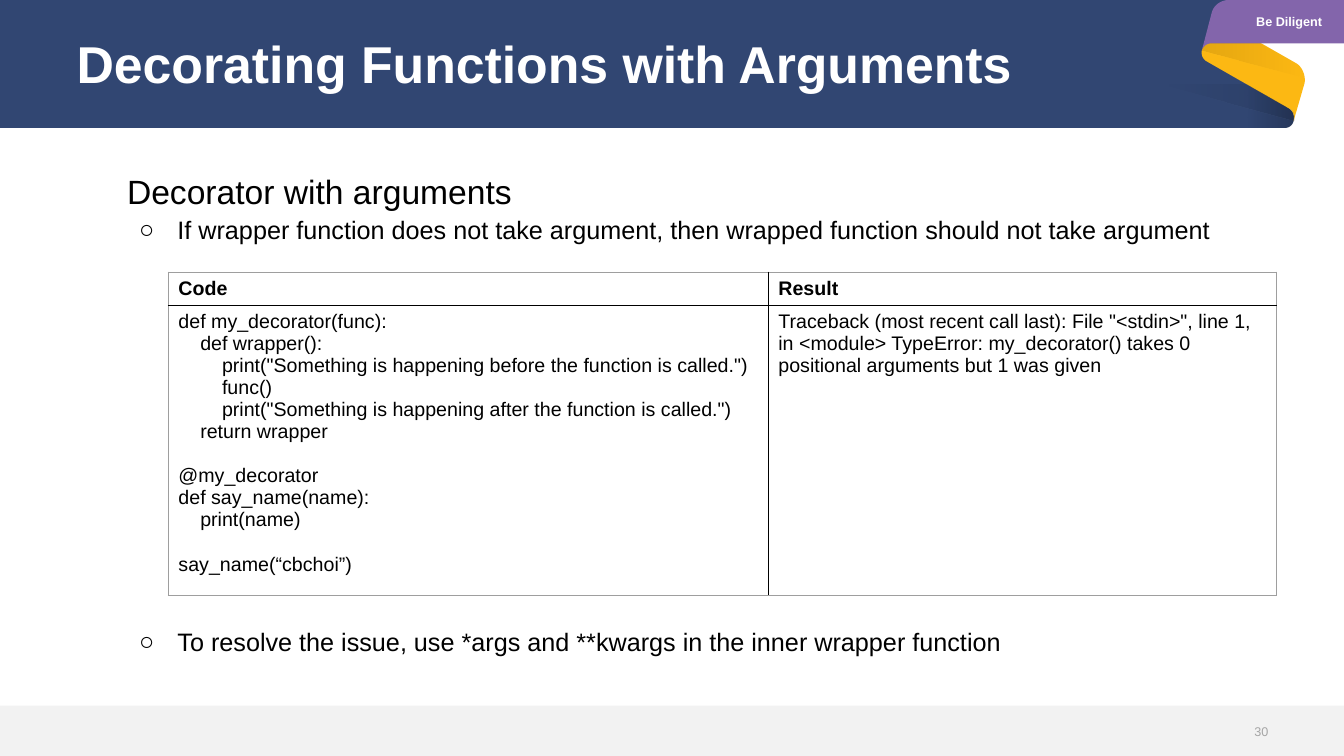
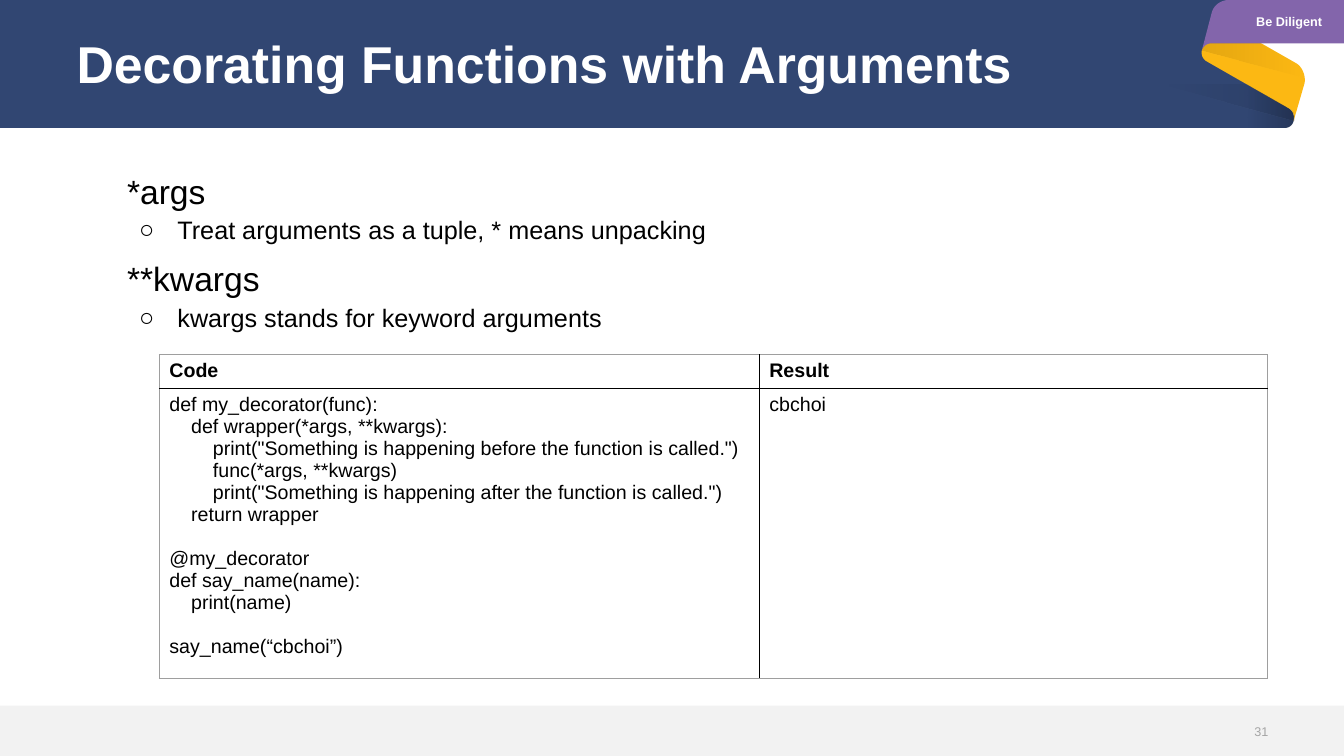
from collections import namedtuple
from dataclasses import dataclass

from lxml.etree import SubElement
from pptx import Presentation
from pptx.dml.color import RGBColor
from pptx.enum.shapes import MSO_SHAPE
from pptx.enum.text import MSO_ANCHOR, PP_ALIGN
from pptx.oxml.ns import qn
from pptx.util import Inches, Pt

Box = namedtuple("Box", "left top width height")


@dataclass(frozen=True)
class Theme:
    """Colours, font and type sizes shared by all slides."""
    font: str = "Arial"
    navy: str = "314672"
    yellow: str = "FCB813"
    purple: str = "8365AB"
    footer: str = "F2F2F2"
    white: str = "FFFFFF"
    black: str = "000000"
    muted: str = "A5A5A5"
    table_edge: str = "9E9E9E"
    title_size: float = 37
    heading_size: float = 24
    bullet_size: float = 18
    code_size: float = 14
    small_size: float = 9


THEME = Theme()

HEADER = Box(0, 0, 13.33, 1.27)
TAG = Box(11.99, 0, 1.34, 0.43)
TITLE = Box(0.76, 0.06, 11.81, 1.2)
BODY = Box(0.76, 1.56, 11.81, 5.19)
FOOTER = Box(0, 7, 13.33, 0.5)

COLUMN_WIDTHS = (5.95, 5.04)
ROW_HEIGHTS = (0.32, 2.72)
CODE_INDENT = 0.054  # inches for one leading space
CODE_LINE = 15.8  # points for one empty line

HEADING = {"alignment": PP_ALIGN.JUSTIFY, "line_spacing": 1.33}
BULLET = {"line_spacing": 0.9, "space_before": Pt(5)}

# Two numbers are a corner; six are a curve: two handles and its end.
BAND = [(0, 0), (12.43, 0), (12.43, 0.72), (12.79, 1.08),
        (12.83, 1.11, 12.84, 1.15, 12.83, 1.2),
        (12.82, 1.24, 12.79, 1.27, 12.74, 1.27), (0, 1.27)]
RIBBON = [(11.97, 0.61), (12.79, 1.08), (12.83, 1.11, 12.84, 1.15, 12.83, 1.2),
          (12.94, 0.82), (12.95, 0.74, 12.91, 0.66, 12.86, 0.63),
          (12.44, 0.39), (12.02, 0.41),
          (11.97, 0.41, 11.93, 0.46, 11.92, 0.5),
          (11.91, 0.54, 11.93, 0.59, 11.97, 0.61)]
TAG_OUTLINE = [(11.92, 0.5), (11.93, 0.46, 11.97, 0.43, 12.02, 0.43),
               (13.33, 0.43), (13.33, 0), (12.19, 0),
               (12.11, 0, 12.04, 0.05, 12.02, 0.12)]
FOLD_SHADE = [(12.37, 0.84), (12.37, 1.27), (12.74, 1.27),
              (12.79, 1.27, 12.82, 1.24, 12.83, 1.2),
              (12.84, 1.15, 12.83, 1.11, 12.79, 1.08)]
CAST_SHADE = [(11.52, 0.84), (12.83, 1.2),
              (12.84, 1.15, 12.83, 1.11, 12.79, 1.08), (12.37, 0.84)]
RIBBON_SHADE = [(11.92, 0.5), (12.94, 0.77),
                (12.94, 0.72, 12.91, 0.66, 12.86, 0.63), (12.5, 0.43),
                (12.02, 0.43), (11.97, 0.43, 11.93, 0.46, 11.92, 0.5)]


def color(value):
    """Turn a hex string into a colour."""
    return RGBColor.from_string(value)


def apply_format(target, values):
    """Set every attribute named in a dict."""
    for name, value in values.items():
        setattr(target, name, value)


def place(box):
    """Give a box as four lengths."""
    return [Inches(value) for value in box]


def write(paragraph, text, size, ink=THEME.black, bold=False, margin=0,
          indent=0, bullet=None, layout=None):
    """Write one styled paragraph."""
    run = paragraph.add_run()
    run.text = text
    apply_format(run.font, {"name": THEME.font, "size": Pt(size), "bold": bold})
    run.font.color.rgb = color(ink)
    properties = paragraph._p.get_or_add_pPr()
    properties.set("marL", str(Inches(margin)))
    properties.set("indent", str(Inches(indent)))
    if bullet:
        bullet_color = SubElement(properties, qn("a:buClr"))
        SubElement(bullet_color, qn("a:srgbClr"), val=ink)
        SubElement(properties, qn("a:buFont"), typeface=THEME.font)
        SubElement(properties, qn("a:buChar"), char=bullet)
    apply_format(paragraph, layout or {})


def add_text_frame(slide, box, anchor=MSO_ANCHOR.MIDDLE):
    """Add a wrapping text box without insets and return its frame."""
    frame = slide.shapes.add_textbox(*place(box)).text_frame
    apply_format(frame, {"word_wrap": True, "vertical_anchor": anchor,
                         "margin_left": 0, "margin_right": 0,
                         "margin_top": 0, "margin_bottom": 0})
    return frame


def trace(outline, steps=8):
    """Turn corners and curves into a list of points."""
    points = []
    for part in outline:
        if len(part) == 2:
            points.append(part)
            continue
        nodes = [points[-1], part[:2], part[2:4], part[4:]]
        for step in range(1, steps + 1):
            t = step / steps
            weights = ((1 - t) ** 3, 3 * t * (1 - t) ** 2, 3 * t * t * (1 - t), t ** 3)
            points.append(tuple(sum(weight * node[axis] for weight, node in zip(weights, nodes))
                                for axis in (0, 1)))
    return points


def add_outline(slide, box, outline):
    """Add a borderless freeform measured from the corner of a box."""
    points = [(Inches(box.left + x), Inches(box.top + y)) for x, y in trace(outline)]
    builder = slide.shapes.build_freeform(*points[0])
    builder.add_line_segments(points[1:], close=True)
    shape = builder.convert_to_shape()
    shape.shadow.inherit = False
    shape.line.fill.background()
    return shape


def add_shade(slide, box, outline, opacity, angle):
    """Add a black gradient that fades out."""
    shape = add_outline(slide, box, outline)
    shape.fill.gradient()
    shape.fill.gradient_angle = angle
    for stop in shape.fill.gradient_stops:
        stop.color.rgb = color(THEME.black)
    stops = shape._element.spPr.iter(qn("a:srgbClr"))
    for stop_color, percent in zip(list(stops), (opacity, 0)):
        SubElement(stop_color, qn("a:alpha"), val=str(percent * 1000))


def add_header(slide, box, title):
    """Draw the band, the folded ribbon, its tag and the title."""
    for outline, fill in ((BAND, THEME.navy), (RIBBON, THEME.yellow),
                          (TAG_OUTLINE, THEME.purple)):
        shape = add_outline(slide, box, outline)
        shape.fill.solid()
        shape.fill.fore_color.rgb = color(fill)
    for outline, opacity, angle in ((FOLD_SHADE, 20, 180), (CAST_SHADE, 10, 180),
                                    (RIBBON_SHADE, 10, 0)):
        add_shade(slide, box, outline, opacity, angle)
    write(add_text_frame(slide, TAG).paragraphs[0], "Be Diligent", THEME.small_size,
          THEME.white, True, 0.5, -0.25, layout={"alignment": PP_ALIGN.CENTER})
    write(add_text_frame(slide, TITLE).paragraphs[0], title, THEME.title_size,
          THEME.white, True, layout={"line_spacing": 0.9})


def add_footer(slide, box, number):
    """Draw the footer bar with the slide number."""
    shape = slide.shapes.add_shape(MSO_SHAPE.RECTANGLE, *place(box))
    shape.shadow.inherit = False
    shape.fill.solid()
    shape.fill.fore_color.rgb = color(THEME.footer)
    shape.line.fill.background()
    frame = add_text_frame(slide, Box(box.left + 11.95, box.top + 0.13, 0.63, 0.26))
    write(frame.paragraphs[0], str(number), THEME.small_size, THEME.muted,
          layout={"alignment": PP_ALIGN.RIGHT})


def add_body(slide, box, items):
    """Write headings and bullets; each item is kind, text and extra space before."""
    frame = add_text_frame(slide, box, MSO_ANCHOR.TOP)
    for index, (kind, text, *space) in enumerate(items):
        paragraph = frame.add_paragraph() if index else frame.paragraphs[0]
        if kind == "heading":
            write(paragraph, text, THEME.heading_size, margin=0.5, layout=HEADING)
            continue
        layout = dict(BULLET, space_before=Pt(space[0])) if space else BULLET
        paragraph.level = 1
        write(paragraph, text, THEME.bullet_size, margin=1, indent=-0.38,
              bullet="○", layout=layout)


def set_borders(cell, row, column):
    """Draw grey outer edges and black inner lines."""
    properties = cell._tc.get_or_add_tcPr()
    outer = {"L": column == 0, "R": column == 1, "T": row == 0, "B": row == 1}
    for index, (side, is_outer) in enumerate(outer.items()):
        width = Pt(0.75) if is_outer else Pt(1)
        line = properties.makeelement(qn(f"a:ln{side}"), {"w": str(width)})
        fill = SubElement(line, qn("a:solidFill"))
        SubElement(fill, qn("a:srgbClr"),
                   val=THEME.table_edge if is_outer else THEME.black)
        properties.insert(index, line)


def fill_cell(cell, text, bold):
    """Write lines, turning leading spaces and empty lines into spacing."""
    frame = cell.text_frame
    paragraph, gap = frame.paragraphs[0], 0
    for index, line in enumerate(text.split("\n")):
        if not line:
            gap += CODE_LINE
            continue
        if index:
            paragraph = frame.add_paragraph()
        code = line.lstrip()
        write(paragraph, code, THEME.code_size, bold=bold,
              margin=(len(line) - len(code)) * CODE_INDENT,
              layout={"space_before": Pt(gap)})
        gap = 0


def add_code_table(slide, left, top, code, result):
    """Place a table with code beside its result."""
    box = Box(left, top, sum(COLUMN_WIDTHS), sum(ROW_HEIGHTS))
    table = slide.shapes.add_table(2, 2, *place(box)).table
    apply_format(table, {"first_row": False, "horz_banding": False})
    for column, width in zip(table.columns, COLUMN_WIDTHS):
        column.width = Inches(width)
    for row, height in zip(table.rows, ROW_HEIGHTS):
        row.height = Inches(height)
    for row, texts in enumerate((("Code", "Result"), (code, result))):
        for column, text in enumerate(texts):
            cell = table.cell(row, column)
            cell.fill.background()
            set_borders(cell, row, column)
            fill_cell(cell, text, bold=row == 0)


def decorator_code(arguments):
    """Give the sample program for a wrapper with these arguments."""
    return f"""def my_decorator(func):
    def wrapper({arguments}):
        print("Something is happening before the function is called.")
        func({arguments})
        print("Something is happening after the function is called.")
    return wrapper

@my_decorator
def say_name(name):
    print(name)

say_name(“cbchoi”)"""


def add_code_slide(presentation, number, items, table_corner, arguments, result):
    """Build one slide of notes with a code table."""
    slide = presentation.slides.add_slide(presentation.slide_layouts[6])
    add_header(slide, HEADER, "Decorating Functions with Arguments")
    add_footer(slide, FOOTER, number)
    add_body(slide, BODY, items)
    add_code_table(slide, *table_corner, decorator_code(arguments), result)


def main():
    """Build and save the presentation."""
    presentation = Presentation()
    apply_format(presentation, {"slide_width": Inches(13.33), "slide_height": Inches(7.5)})
    add_code_slide(presentation, 30, [
        ("heading", "Decorator with arguments"),
        ("bullet", "If wrapper function does not take argument, "
                   "then wrapped function should not take argument"),
        ("bullet", "To resolve the issue, use *args and **kwargs "
                   "in the inner wrapper function", 275),
    ], (1.67, 2.7), "", 'Traceback (most recent call last): File "<stdin>", line 1, '
       "in <module> TypeError: my_decorator() takes 0 positional arguments but 1 was given")
    add_code_slide(presentation, 31, [
        ("heading", "*args"),
        ("bullet", "Treat arguments as a tuple, * means unpacking"),
        ("heading", "**kwargs"),
        ("bullet", "kwargs stands for keyword arguments"),
    ], (1.58, 3.52), "*args, **kwargs", "cbchoi")
    presentation.save("out.pptx")


main()
